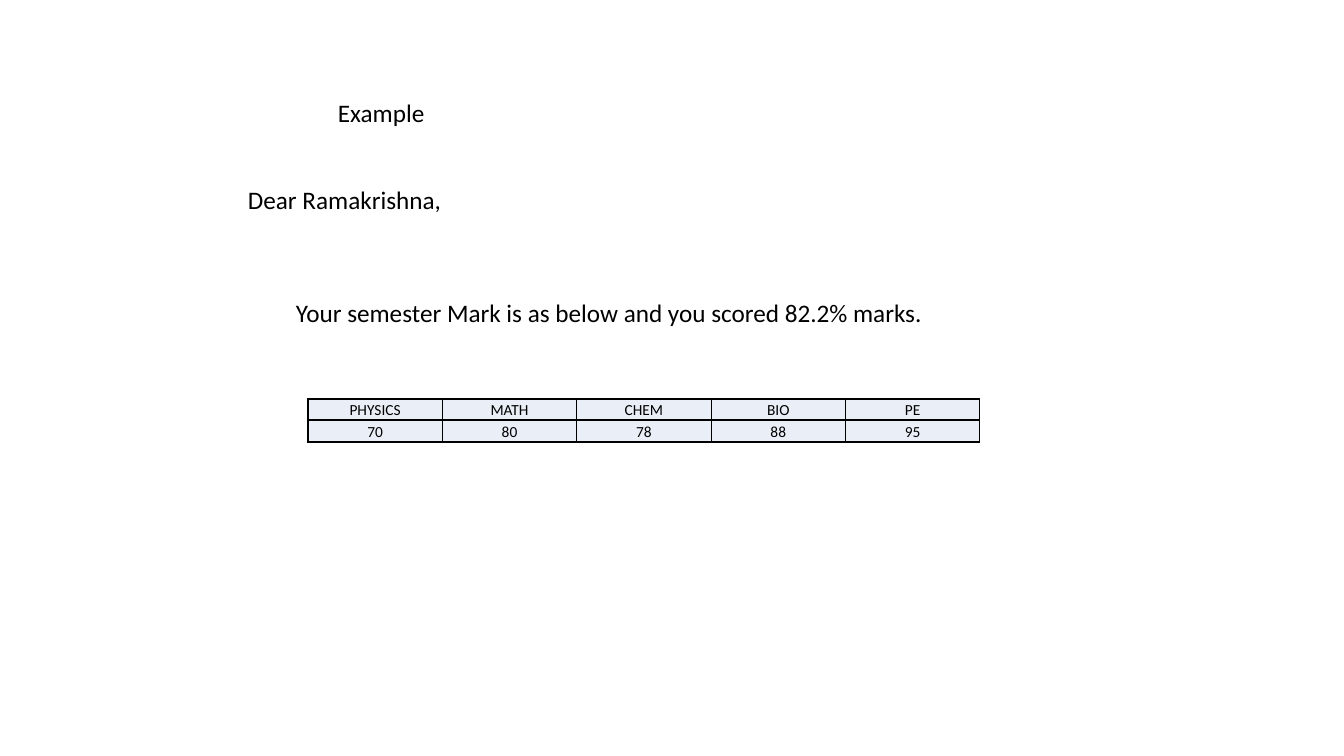
"""Build a slide that reports one student's semester marks."""
import dataclasses

import lxml.etree
import pptx
import pptx.dml.color
import pptx.enum.text
import pptx.oxml.ns
import pptx.util


@dataclasses.dataclass(frozen=True)
class Theme:
    font: str = "Calibri"
    ink: str = "000000"
    fill: str = "EAEFF7"
    body: int = 18
    small: int = 11
    rule: int = 1


def px(count):
    return round(count * 914400 / 100.8)


def tint(code):
    return pptx.dml.color.RGBColor.from_string(code)


class Page:
    def __init__(self, slide, theme):
        self.slide = slide
        self.theme = theme

    def style(self, frame, size):
        for para in frame.paragraphs:
            for run in para.runs:
                run.font.name = self.theme.font
                run.font.size = pptx.util.Pt(size)
                run.font.bold = False
                run.font.color.rgb = tint(self.theme.ink)

    def text(self, words, left, top, width, height, wrap=False):
        box = self.slide.shapes.add_textbox(*map(px, (left, top, width, height)))
        frame = box.text_frame
        frame.text = words
        frame.word_wrap = wrap
        frame.auto_size = pptx.enum.text.MSO_AUTO_SIZE.SHAPE_TO_FIT_TEXT
        self.style(frame, self.theme.body)

    def border(self, cell):
        name = pptx.oxml.ns.qn
        props = cell._tc.get_or_add_tcPr()
        for side in "LRTB":
            line = lxml.etree.SubElement(props, name(f"a:ln{side}"))
            line.set("w", str(pptx.util.Pt(self.theme.rule)))
            paint = lxml.etree.SubElement(line, name("a:solidFill"))
            lxml.etree.SubElement(paint, name("a:srgbClr")).set("val", self.theme.ink)

    def cell(self, cell, words):
        cell.text = words
        cell.margin_left = cell.margin_right = cell.margin_top = px(1)
        cell.margin_bottom = 0
        cell.vertical_anchor = pptx.enum.text.MSO_ANCHOR.BOTTOM
        cell.text_frame.paragraphs[0].alignment = pptx.enum.text.PP_ALIGN.CENTER
        self.style(cell.text_frame, self.theme.small)
        self.border(cell)
        cell.fill.solid()
        cell.fill.fore_color.rgb = tint(self.theme.fill)

    def table(self, rows, left, top, width, heights):
        frame = self.slide.shapes.add_table(
            len(rows), len(rows[0]), *map(px, (left, top, width, sum(heights))))
        table = frame.table
        table.first_row = table.horz_banding = False
        for row, words, height in zip(table.rows, rows, heights):
            row.height = px(height)
            for cell, word in zip(row.cells, words):
                self.cell(cell, word)


deck = pptx.Presentation()
deck.slide_width, deck.slide_height = px(1344), px(756)
page = Page(deck.slides.add_slide(deck.slide_layouts[6]), Theme())

marks = {"PHYSICS": 70, "MATH": 80, "CHEM": 78, "BIO": 88, "PE": 95}
page.text("Dear Ramakrishna,", 238, 179, 216, 40)
page.text("Your semester Mark is as below and you scored 82.2% marks.",
          286, 292, 647, 40)
page.table([list(marks), [str(mark) for mark in marks.values()]],
           308, 399, 672, (21, 22))
page.text("Example", 328, 92, 194, 40, wrap=True)

deck.save("out.pptx")
